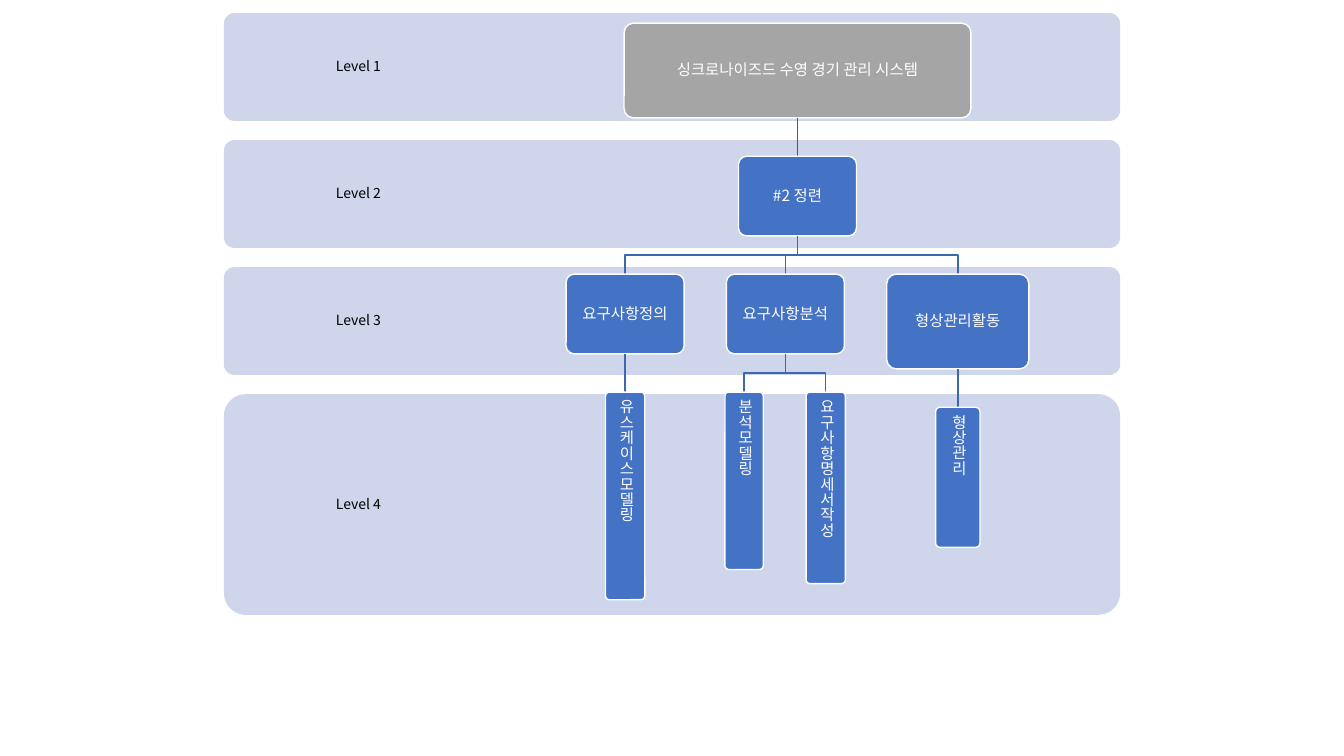
import pptx
import pptx.dml.color
import pptx.enum.shapes
import pptx.enum.text
import pptx.util
import pptx.oxml.ns
import lxml.etree

Inches = pptx.util.Inches
Align = pptx.enum.text.PP_ALIGN
ROUNDED = pptx.enum.shapes.MSO_SHAPE.ROUNDED_RECTANGLE
STRAIGHT = pptx.enum.shapes.MSO_CONNECTOR.STRAIGHT

FONT = "Noto Sans CJK KR"
BAND, BLUE, GRAY, WHITE, BLACK = "CFD5EA", "4472C4", "A5A5A5", "FFFFFF", "000000"
ROOT_LINK, LINK = "365B9D", "3E67B2"

# Levels: label, band height
levels = [("Level 1", 1.07), ("Level 2", 1.07), ("Level 3", 1.07), ("Level 4", 2.19)]
BAND_LEFT, BAND_TOP, BAND_WIDTH, BAND_GAP, LABEL_WIDTH = 2.22, 0.13, 8.89, 0.19, 2.67

# Work breakdown: text, centre x, width, height, children
work_tree = ("싱크로나이즈드 수영 경기 관리 시스템", 7.91, 3.44, 0.94, [
    ("#2 정련", 7.91, 1.17, 0.79, [
        ("요구사항정의", 6.2, 1.17, 0.79, [
            ("유스케이스모델링", 6.2, 0.39, 2.06, [])]),
        ("요구사항분석", 7.79, 1.17, 0.79, [
            ("분석모델링", 7.38, 0.38, 1.76, []),
            ("요구사항명세서작성", 8.19, 0.39, 1.9, [])]),
        ("형상관리활동", 9.5, 1.41, 0.94, [
            ("형상관리", 9.5, 0.44, 1.39, [])]),
    ]),
])
TREE_TOP, TREE_GAP = 0.23, 0.38


def color(value):
    return pptx.dml.color.RGBColor.from_string(value)


def write(shape, text, size, ink, inset, align=Align.CENTER):
    frame = shape.text_frame
    frame.word_wrap = True
    frame.vertical_anchor = pptx.enum.text.MSO_ANCHOR.MIDDLE
    frame.margin_left = frame.margin_right = Inches(inset)
    frame.margin_top = frame.margin_bottom = Inches(inset)
    paragraph = frame.paragraphs[0]
    paragraph.alignment = align
    paragraph.line_spacing = 0.9
    run = paragraph.add_run()
    run.text = text
    run.font.size = pptx.util.Pt(size)
    run.font.name = FONT
    run.font.color.rgb = color(ink)
    properties = run.font._element
    east_asian = lxml.etree.SubElement(properties, pptx.oxml.ns.qn("a:ea"))
    east_asian.set("typeface", FONT)


def add_box(left, top, width, height, fill, outline=None):
    box = slide.shapes.add_shape(ROUNDED, Inches(left), Inches(top), Inches(width), Inches(height))
    box.adjustments[0] = 0.1
    box.shadow.inherit = False
    box.fill.solid()
    box.fill.fore_color.rgb = color(fill)
    if outline:
        box.line.color.rgb = color(outline)
        box.line.width = pptx.util.Pt(1)
    else:
        box.line.fill.background()
    return box


def add_link(from_x, from_y, to_x, to_y, ink):
    if from_x == to_x:
        link = slide.shapes.add_connector(
            STRAIGHT, Inches(from_x), Inches(from_y), Inches(to_x), Inches(to_y))
        lxml.etree.SubElement(link._element.spPr, pptx.oxml.ns.qn("a:effectLst"))
    else:
        middle = (from_y + to_y) / 2
        bends = [(from_x, middle), (to_x, middle), (to_x, to_y)]
        outline = slide.shapes.build_freeform(Inches(from_x), Inches(from_y))
        outline.add_line_segments([(Inches(x), Inches(y)) for x, y in bends], close=False)
        link = outline.convert_to_shape()
        link.fill.background()
        link.shadow.inherit = False
    link.line.color.rgb = color(ink)
    link.line.width = pptx.util.Pt(1)


def add_work(work, top, depth=1):
    text, center, width, height, children = work
    box = add_box(center - width / 2, top, width, height, GRAY if depth == 1 else BLUE, WHITE)
    upright = depth == len(levels)
    write(box, text, 11, WHITE, 0.06, Align.LEFT if upright else Align.CENTER)
    if upright:
        box.text_frame._txBody.bodyPr.set("vert", "eaVert")
    bottom = top + height
    for child in children:
        add_link(center, bottom, child[1], bottom + TREE_GAP, ROOT_LINK if depth == 1 else LINK)
        add_work(child, bottom + TREE_GAP, depth + 1)


deck = pptx.Presentation()
deck.slide_width, deck.slide_height = Inches(13.33), Inches(7.5)
slide = deck.slides.add_slide(deck.slide_layouts[6])

# Level bands with their labels
band_top = BAND_TOP
for label, band_height in levels:
    add_box(BAND_LEFT, band_top, BAND_WIDTH, band_height, BAND)
    caption = slide.shapes.add_textbox(
        Inches(BAND_LEFT), Inches(band_top), Inches(LABEL_WIDTH), Inches(band_height))
    write(caption, label, 10, BLACK, 0.08)
    band_top += band_height + BAND_GAP

# Work breakdown tree
add_work(work_tree, TREE_TOP)

deck.save("out.pptx")
